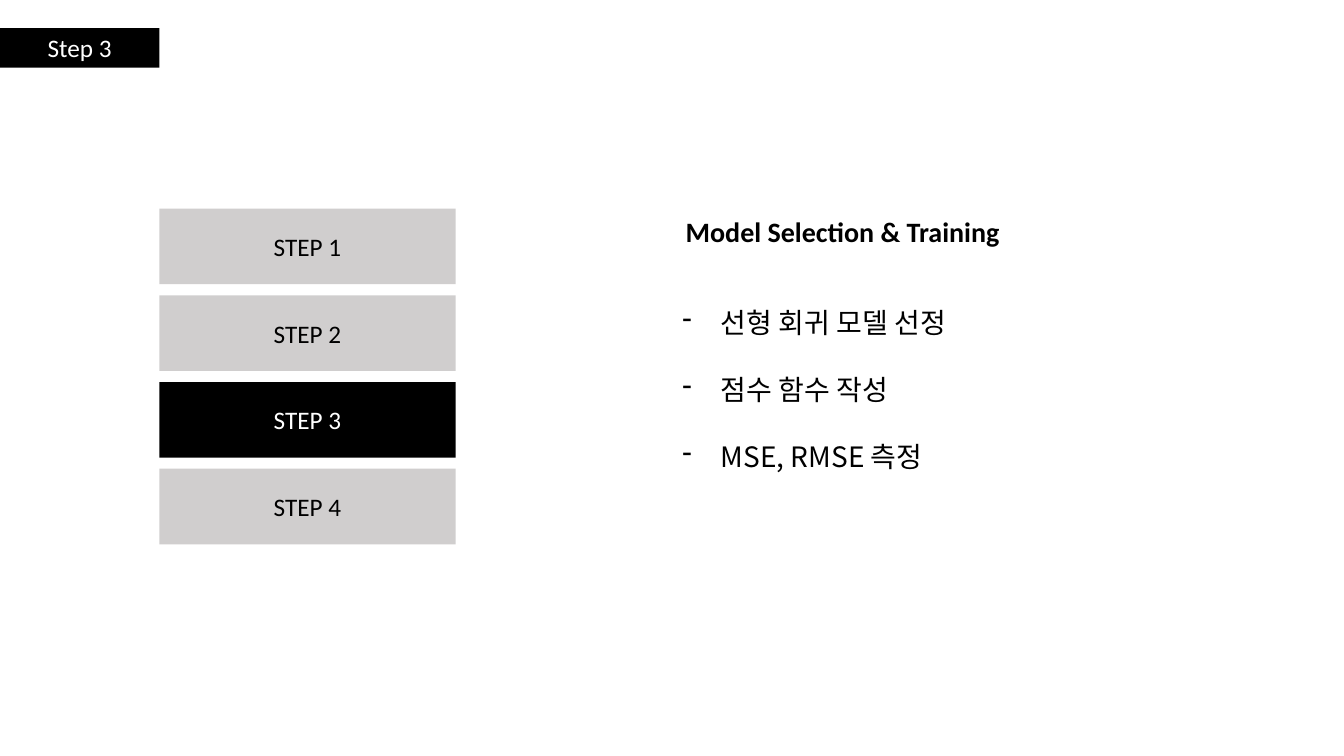
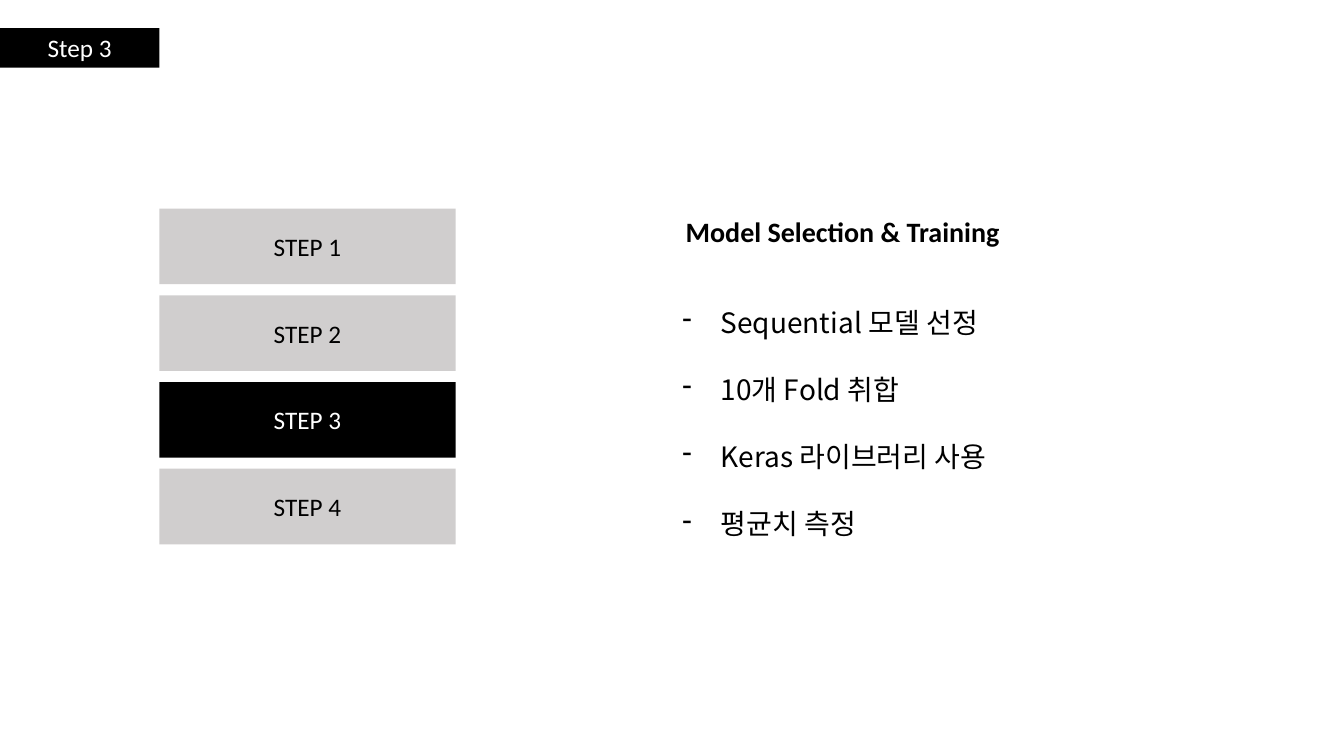
import pptx
import pptx.util
import pptx.dml.color
import pptx.enum.shapes
import pptx.enum.text
import pptx.oxml
import pptx.oxml.ns

Inches, Pt = pptx.util.Inches, pptx.util.Pt
ALIGN, ANCHOR = pptx.enum.text.PP_ALIGN, pptx.enum.text.MSO_ANCHOR

# Shared style
COLORS = {"black": "000000", "white": "FFFFFF", "gray": "D0CECE"}
LATIN, KOREAN = "Calibri", "Noto Sans CJK KR"
TITLE = "Model Selection & Training"
ACTIVE_STEP, STEP_COUNT = 3, 4
STEP_TOP, STEP_PITCH = 2.07, 0.86

BULLETS = [
    ["선형 회귀 모델 선정", "점수 함수 작성", "MSE, RMSE 측정"],
    ["Sequential 모델 선정", "10개 Fold 취합", "Keras 라이브러리 사용", "평균치 측정"],
]


def add_run(p, text, size, color, font=LATIN, bold=False):
    r = p.add_run()
    r.text = text
    r.font.size, r.font.name, r.font.bold = Pt(size), font, bold
    r.font.color.rgb = pptx.dml.color.RGBColor.from_string(COLORS[color])
    ea = pptx.oxml.parse_xml(
        f'<a:ea {pptx.oxml.ns.nsdecls("a")} typeface="{font}"/>')
    r.font._element.find(pptx.oxml.ns.qn("a:latin")).addnext(ea)


def add_box(s, left, top, width, height, fill, text, color):
    sp = s.shapes.add_shape(pptx.enum.shapes.MSO_SHAPE.RECTANGLE, Inches(left),
                            Inches(top), Inches(width), Inches(height))
    sp.shadow.inherit = False
    sp.fill.solid()
    sp.fill.fore_color.rgb = pptx.dml.color.RGBColor.from_string(COLORS[fill])
    sp.line.fill.background()
    tf = sp.text_frame
    tf.vertical_anchor = ANCHOR.MIDDLE
    p = tf.paragraphs[0]
    p.alignment = ALIGN.CENTER
    add_run(p, text, 18, color)


prs = pptx.Presentation()
prs.slide_width, prs.slide_height = Inches(13.33), Inches(7.5)

for bullets in BULLETS:
    s = prs.slides.add_slide(prs.slide_layouts[5])

    # Title
    title = s.shapes.title
    title.left, title.top = Inches(6.7), Inches(2.07)
    title.width, title.height = Inches(3.64), Inches(0.44)
    tf = title.text_frame
    tf.word_wrap = False
    tf.vertical_anchor = ANCHOR.MIDDLE
    p = tf.paragraphs[0]
    p.alignment = ALIGN.LEFT
    add_run(p, TITLE, 20, "black", bold=True)

    # Step tag
    add_box(s, 0, 0.28, 1.58, 0.39, "black", f"Step {ACTIVE_STEP}", "white")

    # Step list with the active step highlighted
    for i in range(STEP_COUNT):
        active = i + 1 == ACTIVE_STEP
        add_box(s, 1.58, STEP_TOP + i * STEP_PITCH, 2.94, 0.75,
                "black" if active else "gray", f"STEP {i + 1}",
                "white" if active else "black")

    # Bullet list
    body = s.shapes.add_textbox(Inches(6.67), Inches(2.95), Inches(5.44),
                                Inches(0.46 + 0.67 * len(bullets)))
    tf = body.text_frame
    tf.word_wrap = True
    for i, text in enumerate(bullets):
        p = tf.add_paragraph() if i else tf.paragraphs[0]
        p.line_spacing, p.space_after = Pt(26), Pt(22)
        pPr = p._p.get_or_add_pPr()
        pPr.set("marL", str(Inches(0.38)))
        pPr.set("indent", str(-Inches(0.38)))
        pPr.append(pptx.oxml.parse_xml(
            f'<a:buChar {pptx.oxml.ns.nsdecls("a")} char="-"/>'))
        add_run(p, text, 20, "black", KOREAN)

prs.save("out.pptx")
